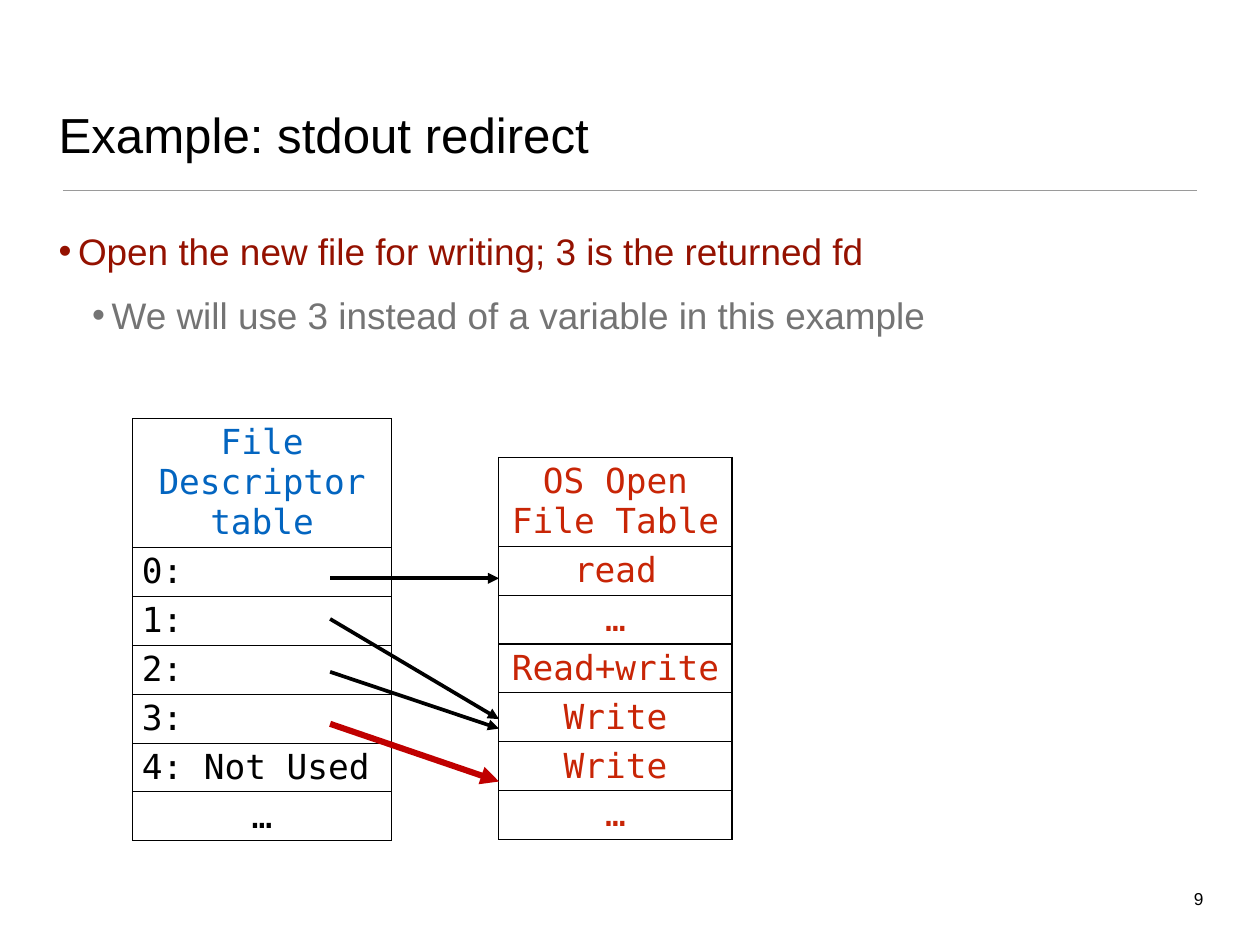
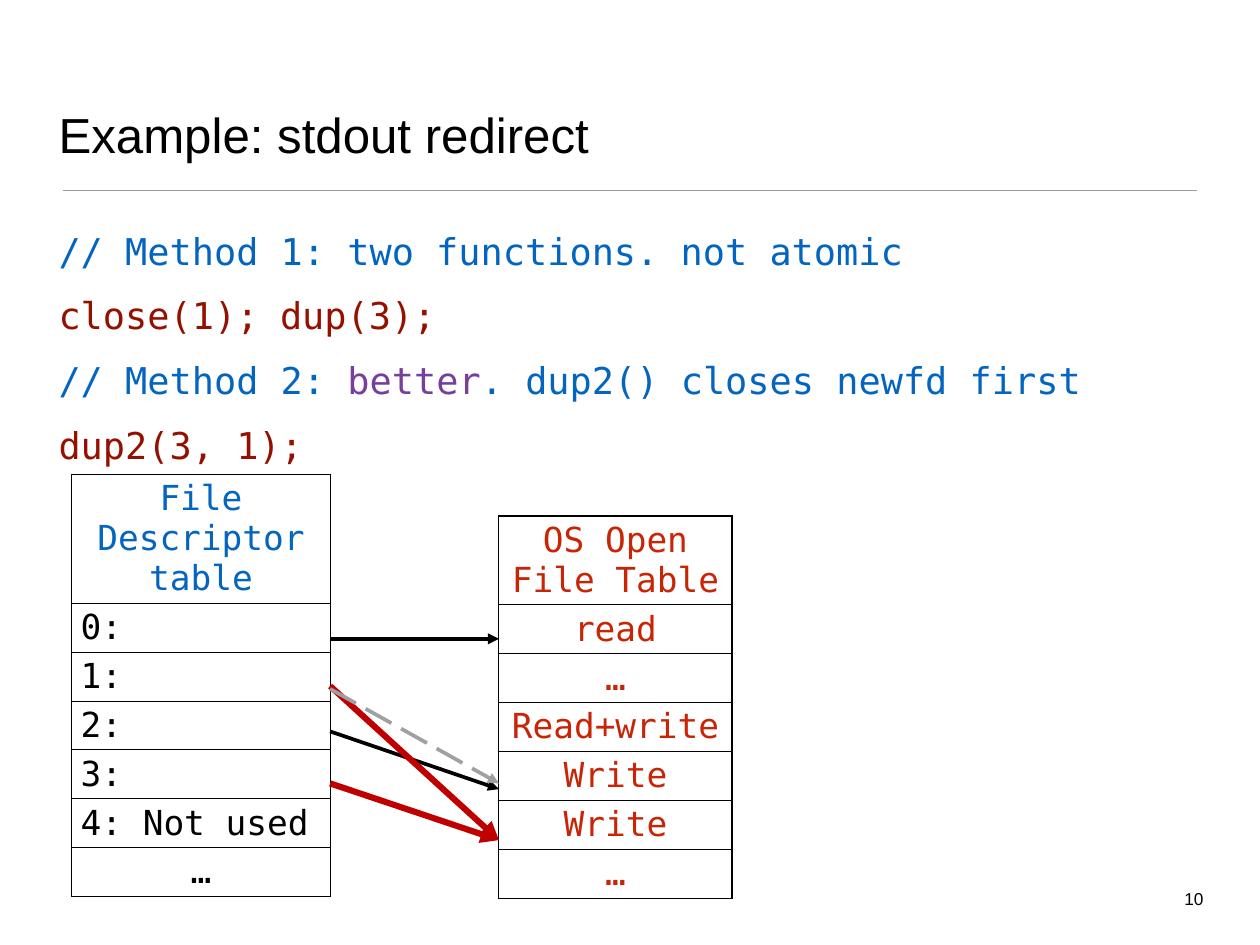
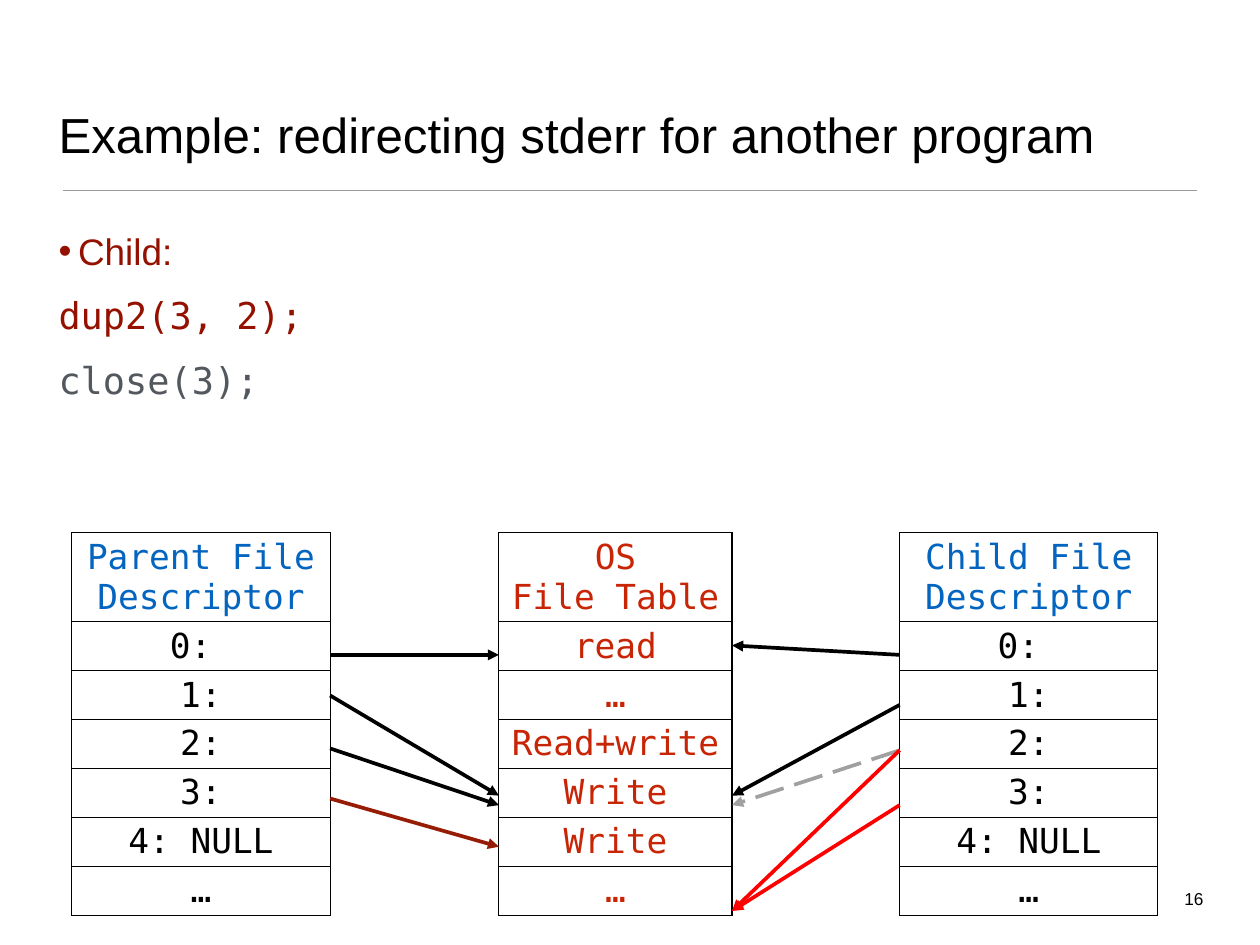
from lxml import etree
from pptx import Presentation
from pptx import util as u
from pptx.dml.color import RGBColor
from pptx.enum import dml, shapes, text
from pptx.oxml.ns import qn

HUES = {
    "black": "000000", "rule": "9A9A9A", "wine": "941100", "gray": "747474",
    "slate": "53585F", "blue": "0365C0", "plum": "773F9B", "rust": "C82506",
    "crimson": "C00000", "ash": "A0A0A0", "brick": "961C05", "red": "FF0000",
}
SANS, MONO = "Arial", "DejaVu Sans Mono"
LEFT, CENTER, RIGHT = text.PP_ALIGN.LEFT, text.PP_ALIGN.CENTER, text.PP_ALIGN.RIGHT
PAD = u.Inches(0.04)
ROW, LINE = 0.55, 0.45
LIST, WIDE, NEAR, MID, FAR = 20.5, 18.5, 5.7, 39.6, 71.4
EDGE, END = NEAR + LIST, MID + WIDE


class Deck:
    """Holds the style and the current slide; places are percent of the slide."""

    def __init__(self):
        self.prs = Presentation()
        self.prs.slide_width = u.Inches(14.22)
        self.prs.slide_height = u.Inches(10.67)
        self.base = self.prs.slide_layouts[1]
        title, body = list(self.base.placeholders)[:2]
        self.place(title, 4.36, 3.4, 91.2, 14.3)
        self.place(body, 4.36, 23.8, 91.2, 67.3)
        self.frame(title, text.MSO_ANCHOR.BOTTOM)
        self.frame(body, text.MSO_ANCHOR.TOP)

    def x(self, part):
        return round(self.prs.slide_width * part / 100)

    def y(self, part):
        return round(self.prs.slide_height * part / 100)

    def place(self, item, left, top, width, height):
        item.left, item.top = self.x(left), self.y(top)
        item.width, item.height = self.x(width), self.y(height)

    def frame(self, item, anchor):
        box = item.text_frame
        box.margin_left = box.margin_right = PAD
        box.margin_top = box.margin_bottom = PAD
        box.vertical_anchor = anchor
        box.word_wrap = True
        box.auto_size = text.MSO_AUTO_SIZE.NONE
        return box

    def style(self, para, size, hue, face=SANS, align=LEFT):
        para.alignment = align
        for run in para.runs:
            self.ink(run, size, hue, face)

    def ink(self, run, size, hue, face):
        run.font.size, run.font.name = u.Pt(size), face
        run.font.bold = False
        run.font.color.rgb = RGBColor.from_string(HUES[hue])

    def start(self, title, page):
        self.slide = self.prs.slides.add_slide(self.base)
        self.line((5, 20.15), (95, 20.15), "rule", 1)
        head = self.slide.shapes.title.text_frame
        head.text = title
        self.style(head.paragraphs[0], 40, "black")
        note = self.slide.shapes.add_textbox(0, 0, 0, 0)
        self.place(note, 90.8, 93.6, 5, 2.8)
        box = self.frame(note, text.MSO_ANCHOR.TOP)
        box.text = str(page)
        self.style(box.paragraphs[0], 14, "black", align=RIGHT)

    def body(self, *rows):
        box = self.slide.placeholders[1].text_frame
        for spot, (level, parts) in enumerate(rows):
            para = box.add_paragraph() if spot else box.paragraphs[0]
            para.alignment = LEFT
            para.space_before = u.Pt(16.5 if spot else 0)
            for words, hue in parts:
                run = para.add_run()
                run.text = words
                self.ink(run, 30, hue, MONO if level is None else SANS)
            self.mark(para, level)

    def mark(self, para, level):
        props = para._p.get_or_add_pPr()
        if level is None:
            props.set("marL", "0")
            props.set("indent", "0")
            etree.SubElement(props, qn("a:buNone"))
            tabs = etree.SubElement(props, qn("a:tabLst"))
            etree.SubElement(tabs, qn("a:tab"), pos=str(u.Inches(3.75)), algn="l")
            return
        para.level = level
        props.set("marL", str(u.Inches(0.22 + 0.38 * level)))
        props.set("indent", str(-u.Inches(0.22)))
        etree.SubElement(props, qn("a:buFont"), typeface=SANS)
        etree.SubElement(props, qn("a:buChar"), char="•")

    def table(self, left, top, width, rows, head, hue="black", align=CENTER, lines=2):
        tall = ROW + LINE * (lines - 1)
        item = self.slide.shapes.add_table(
            len(rows), 1, self.x(left), self.y(top), self.x(width),
            u.Inches(tall + ROW * (len(rows) - 1)))
        grid = item.table
        grid.first_row = grid.horz_banding = False
        for spot, words in enumerate(rows):
            grid.rows[spot].height = u.Inches(ROW if spot else tall)
            cell = grid.cell(spot, 0)
            cell.text_frame.text = words
            side = align if 0 < spot < len(rows) - 1 else CENTER
            for para in cell.text_frame.paragraphs:
                self.style(para, 28, hue if spot else head, MONO, side)
            cell.fill.background()
            self.border(cell)

    def border(self, cell):
        props = cell._tc.get_or_add_tcPr()
        for spot, side in enumerate(("a:lnL", "a:lnR", "a:lnT", "a:lnB")):
            edge = etree.Element(qn(side), w=str(u.Pt(1)))
            fill = etree.SubElement(edge, qn("a:solidFill"))
            etree.SubElement(fill, qn("a:srgbClr"), val=HUES["black"])
            props.insert(spot, edge)

    def files(self, top, head="OS Open\nFile Table"):
        rows = [head, "read", "…", "Read+write", "Write", "Write", "…"]
        self.table(MID, top, WIDE, rows, "rust", "rust")

    def line(self, start, end, hue, size):
        wire = self.slide.shapes.add_connector(
            shapes.MSO_CONNECTOR.STRAIGHT, self.x(start[0]), self.y(start[1]),
            self.x(end[0]), self.y(end[1]))
        wire.line.color.rgb = RGBColor.from_string(HUES[hue])
        wire.line.width = u.Pt(size)
        etree.SubElement(wire._element.spPr, qn("a:effectLst"))
        return wire

    def arrows(self, left, right, *rows):
        for top, low, hue, size in rows:
            wire = self.line((left, top), (right, low), hue, size)
            if hue == "ash":
                wire.line.dash_style = dml.MSO_LINE.LONG_DASH
            etree.SubElement(wire.line._get_or_add_ln(), qn("a:tailEnd"), type="triangle")


def opened(deck):
    deck.start("Example: stdout redirect", 9)
    deck.body(
        (0, [("Open the new file for writing; 3 is the returned fd", "wine")]),
        (1, [("We will use 3 instead of a variable in this example", "gray")]))
    rows = ["File Descriptor table", "0:", "1:", "2:", "3:", "4: Not Used", "…"]
    deck.table(10.55, 44.3, LIST, rows, "blue", align=LEFT, lines=3)
    deck.files(48.4)
    deck.arrows(
        EDGE, MID, (61.2, 61.2, "black", 3), (65.5, 76.1, "black", 3),
        (71.1, 77.1, "black", 3), (76.6, 82.7, "crimson", 5))


def copied(deck):
    deck.start("Example: stdout redirect", 10)
    deck.body(
        (None, [("// Method 1: two functions. not atomic", "blue")]),
        (None, [("close(1);\tdup(3);", "wine")]),
        (None, [("// Method 2: ", "blue"), ("better", "plum"),
                (". dup2() closes newfd first", "blue")]),
        (None, [("dup2(3, 1);", "wine")]))
    rows = ["File Descriptor table", "0:", "1:", "2:", "3:", "4: Not used", "…"]
    deck.table(NEAR, 50.2, LIST, rows, "blue", align=LEFT, lines=3)
    deck.files(54.6)
    deck.arrows(
        EDGE, MID, (67.6, 67.6, "black", 3), (77.4, 83.5, "black", 3),
        (82.9, 88.9, "crimson", 5), (72.6, 88.9, "crimson", 5),
        (72.9, 82.9, "ash", 3))


def forked(deck):
    deck.start("Example: redirecting stderr for another program", 16)
    deck.body(
        (0, [("Child:", "wine")]),
        (None, [("dup2(3, 2);", "wine")]),
        (None, [("close(3);", "slate")]))
    rows = ["0: ", "1:", "2:", "3:", "4: NULL", "…"]
    for left, owner in ((NEAR, "Parent"), (FAR, "Child")):
        deck.table(left, 56.4, LIST, [f"{owner} File Descriptor"] + rows, "blue")
    deck.files(56.4, "OS\nFile Table")
    deck.arrows(
        EDGE, MID, (69.3, 69.3, "black", 3), (73.6, 84.2, "black", 3),
        (79.2, 85.2, "black", 3), (84.5, 89.6, "brick", 3))
    deck.arrows(
        FAR, END, (69.3, 68.3, "black", 3), (74.6, 84.2, "black", 3),
        (79.4, 85.2, "ash", 3), (79.4, 96.4, "red", 3), (85.2, 96.4, "red", 3))


def main():
    deck = Deck()
    for build in (opened, copied, forked):
        build(deck)
    deck.prs.save("out.pptx")


if __name__ == "__main__":
    main()
